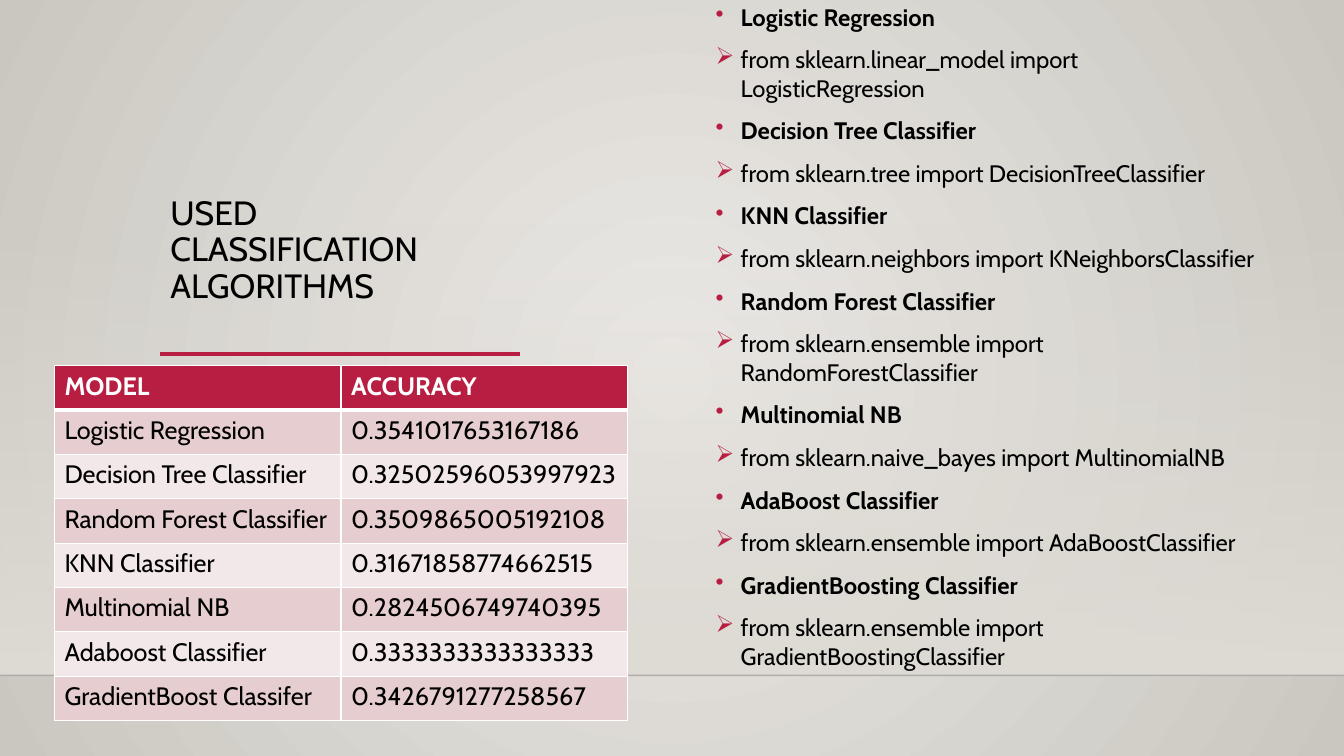
from pptx import Presentation
from pptx import util as u
from pptx.dml import color
from pptx.enum import shapes, text
from pptx.oxml import parse_xml
from pptx.oxml import ns

FACE, RED, BLACK, WHITE = "Cabin", "B71E42", "000000", "FFFFFF"
TITLE = "USED CLASSIFICATION ALGORITHMS"
HEAD = ("MODEL", "ACCURACY")
SCORES = [
    ("Logistic Regression", "0.3541017653167186"),
    ("Decision Tree Classifier", "0.32502596053997923"),
    ("Random Forest Classifier", "0.3509865005192108"),
    ("KNN Classifier", "0.31671858774662515"),
    ("Multinomial NB", "0.2824506749740395"),
    ("Adaboost Classifier", "0.3333333333333333"),
    ("GradientBoost Classifer", "0.3426791277258567"),
]
IMPORTS = [
    ("Logistic Regression", "linear_model", "LogisticRegression"),
    ("Decision Tree Classifier", "tree", "DecisionTreeClassifier"),
    ("KNN Classifier", "neighbors", "KNeighborsClassifier"),
    ("Random Forest Classifier", "ensemble", "RandomForestClassifier"),
    ("Multinomial NB", "naive_bayes", "MultinomialNB"),
    ("AdaBoost Classifier", "ensemble", "AdaBoostClassifier"),
    ("GradientBoosting Classifier", "ensemble", "GradientBoostingClassifier"),
]
BANDS = ("E6CDCF", "F3E8E9")
WIDE, HIGH = 960, 540
FLOOR = 482.4
ROW, COL = 31.68, 204.75


def hue(code):
    return color.RGBColor.from_string(code)


def pts(*nums):
    return [u.Pt(n) for n in nums]


def node(tag, inner="", **attrs):
    bits = "".join(f' {k}="{v}"' for k, v in attrs.items())
    return parse_xml(f'<a:{tag} {ns.nsdecls("a")}{bits}>{inner}</a:{tag}>')


def grad(stops, shade):
    inner = "".join(
        f'<a:gs pos="{pos * 1000}"><a:srgbClr val="{code}">'
        f'<a:alpha val="{alpha * 1000}"/></a:srgbClr></a:gs>'
        for pos, code, alpha in stops)
    return node("gradFill", f"<a:gsLst>{inner}</a:gsLst>{shade}", rotWithShape=1)


def swap(props, fill):
    old = props.find(ns.qn("a:solidFill"))
    props.replace(old, fill)


def style(run, size, code=BLACK, bold=False):
    look = {"name": FACE, "size": u.Pt(size), "bold": bold}
    for key, val in look.items():
        setattr(run.font, key, val)
    run.font.color.rgb = hue(code)


def frame(box, anchor):
    look = {"word_wrap": True, "auto_size": text.MSO_AUTO_SIZE.NONE,
            "vertical_anchor": anchor}
    for key, val in look.items():
        setattr(box.text_frame, key, val)
    return box.text_frame


def rule(left, top, right, code, width, alpha=100):
    line = slide.shapes.add_connector(
        shapes.MSO_CONNECTOR.STRAIGHT, *pts(left, top, right, top))
    line.line.color.rgb = hue(code)
    line.line.width = u.Pt(width)
    tint = line.line.color._xFill.find(ns.qn("a:srgbClr"))
    tint.append(node("alpha", val=alpha * 1000))
    line._element.spPr.append(node("effectLst"))


def edge(cell, side, width):
    ink = f'<a:solidFill><a:srgbClr val="{WHITE}"/></a:solidFill>'
    return node(side, ink, w=u.Pt(width))


deck = Presentation()
deck.slide_width, deck.slide_height = pts(WIDE, HIGH)
slide = deck.slides.add_slide(deck.slide_layouts[5])

slide.background.fill.solid()
back = slide.element.xpath("./p:cSld/p:bg/p:bgPr")[0]
swap(back, grad(
    [(0, "ECEAE7", 100), (100, "CAC7C1", 100)],
    '<a:path path="circle"><a:fillToRect l="50000" t="50000" '
    'r="50000" b="50000"/></a:path>'))

wall = slide.shapes.add_shape(
    shapes.MSO_SHAPE.RECTANGLE, *pts(0, 159.12, WIDE, FLOOR - 159.12))
wall.shadow.inherit = False
wall.line.fill.background()
wall.fill.solid()
swap(wall._element.spPr, grad(
    [(0, "DFDBD5", 0), (100, "DFDBD5", 100)], '<a:lin ang="5400000" scaled="0"/>'))
rule(0, FLOOR, WIDE, "000001", 1, 20)
rule(114, 252.72, 371.5, RED, 2.5)

title = slide.shapes.title
title.left, title.top, title.width, title.height = pts(114.5, 44.64, 257.76, 177.12)
para = frame(title, text.MSO_ANCHOR.BOTTOM).paragraphs[0]
para.text = TITLE
para.alignment = text.PP_ALIGN.LEFT
para.line_spacing = 0.9
style(para.runs[0], 24)
slide.shapes._spTree.append(title._element)

body = frame(slide.shapes.add_textbox(*pts(504, 0, 402.48, 480.24)),
             text.MSO_ANCHOR.MIDDLE)
lines = []
for name, module, model in IMPORTS:
    lines += [("\u2022", name, True),
              ("\u27a2", f"from sklearn.{module} import {model}", False)]
for num, (mark, words, bold) in enumerate(lines):
    para = body.add_paragraph() if num else body.paragraphs[0]
    para.text = words
    para.space_before = u.Pt(10)
    style(para.runs[0], 17, bold=bold)
    props = para._p.get_or_add_pPr()
    props.set("marL", str(u.Pt(18)))
    props.set("indent", str(u.Pt(-18)))
    props.append(node("buClr", f'<a:srgbClr val="{RED}"/>'))
    props.append(node("buChar", char=mark))

rows = [HEAD] + SCORES
grid = slide.shapes.add_table(
    len(rows), 2, *pts(38.88, 261.36, 2 * COL, len(rows) * ROW)).table
for col in grid.columns:
    col.width = u.Pt(COL)
for r, row in enumerate(rows):
    grid.rows[r].height = u.Pt(ROW)
    for c, words in enumerate(row):
        cell = grid.cell(r, c)
        cell.text = words
        run = cell.text_frame.paragraphs[0].runs[0]
        style(run, 18, BLACK if r else WHITE, not r)
        props = cell._tc.get_or_add_tcPr()
        widths = {"lnL": 1, "lnR": 1, "lnT": 3 if r == 1 else 1,
                  "lnB": 1 if r else 3}
        for side, width in widths.items():
            props.append(edge(cell, side, width))
        cell.fill.solid()
        cell.fill.fore_color.rgb = hue(BANDS[(r - 1) % 2] if r else RED)
        props.append(props.find(ns.qn("a:solidFill")))

deck.save("out.pptx")
